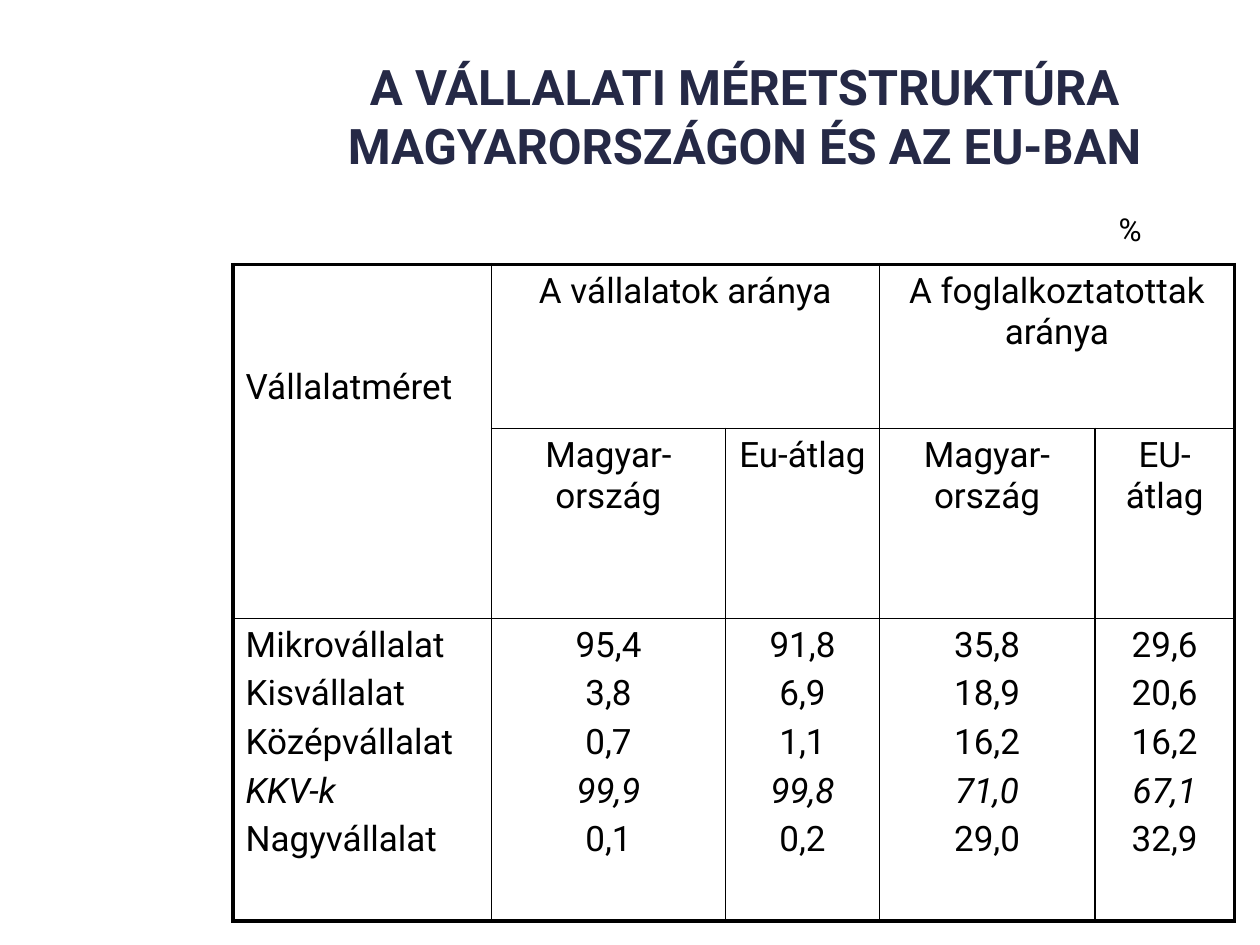
from lxml.etree import SubElement
from pptx import Presentation
from pptx.dml.color import RGBColor
from pptx.enum.text import MSO_ANCHOR, PP_ALIGN
from pptx.oxml.ns import qn
from pptx.util import Inches, Pt

TITLE = "A VÁLLALATI MÉRETSTRUKTÚRA MAGYARORSZÁGON ÉS AZ EU-BAN"
UNIT = "%"
HEADS = [
    ["Vállalatméret", "A vállalatok aránya", "", "A foglalkoztatottak aránya", ""],
    ["", "Magyar-ország", "Eu-átlag", "Magyar-ország", "EU-átlag"],
]
DATA = [
    ("Mikrovállalat", "95,4", "91,8", "35,8", "29,6"),
    ("Kisvállalat", "3,8", "6,9", "18,9", "20,6"),
    ("Középvállalat", "0,7", "1,1", "16,2", "16,2"),
    ("KKV-k", "99,9", "99,8", "71,0", "67,1"),
    ("Nagyvállalat", "0,1", "0,2", "29,0", "32,9"),
]
SUM = "KKV-k"
COLS = [2.05, 1.86, 1.22, 1.71, 1.11]
ROWS = [1.3, 1.51, 2.4]
MERGES = [((0, 0), (1, 0)), ((0, 1), (0, 2)), ((0, 3), (0, 4))]
INK, NAVY = "000000", "252946"
THIN, THICK = 1, 2.25
BODY = {"name": "Roboto", "size": Pt(20), "bold": False}
HEAD = {"name": "Roboto", "size": Pt(28), "bold": True}
NOTE = {"name": "Roboto", "size": Pt(18), "bold": False}


def tint(color, hue):
    color.rgb = RGBColor.from_string(hue)


def write(par, text, look, hue=INK, align=PP_ALIGN.LEFT, slant=False):
    par.alignment = align
    run = par.add_run()
    run.text = text
    for key, val in {**look, "italic": slant}.items():
        setattr(run.font, key, val)
    tint(run.font.color, hue)


def place(shape, left, top, width, height):
    spots = {"left": left, "top": top, "width": width, "height": height}
    for key, val in spots.items():
        setattr(shape, key, Inches(val))


def edge(cell, row, col):
    last = row + cell.span_height if cell.is_merge_origin else row + 1
    end = col + cell.span_width if cell.is_merge_origin else col + 1
    outer = {"L": col == 0, "R": end == len(COLS), "T": row == 0, "B": last == len(ROWS)}
    props = cell._tc.get_or_add_tcPr()
    for side, bold in outer.items():
        line = SubElement(props, qn("a:ln" + side), w=str(Pt(THICK if bold else THIN)))
        fill = SubElement(line, qn("a:solidFill"))
        SubElement(fill, qn("a:srgbClr"), val=INK)
    cell.fill.background()


def fill(cell, texts, col):
    frame = cell.text_frame
    for num, text in enumerate(texts):
        par = frame.add_paragraph() if num else frame.paragraphs[0]
        par.space_before = Pt(4.2 if num else 0)
        align = PP_ALIGN.CENTER if col else PP_ALIGN.LEFT
        write(par, text, BODY, align=align, slant=DATA[num][0] == SUM)


def build():
    deck = Presentation()
    deck.slide_width, deck.slide_height = Inches(10), Inches(7.5)
    slide = deck.slides.add_slide(deck.slide_layouts[5])

    title = slide.shapes.title
    place(title, 2.01, 0.29, 7.8, 1.25)
    title.text_frame.vertical_anchor = MSO_ANCHOR.MIDDLE
    write(title.text_frame.paragraphs[0], TITLE, HEAD, NAVY, PP_ALIGN.CENTER)

    spot = [Inches(val) for val in (1.85, 2.1, sum(COLS), sum(ROWS))]
    table = slide.shapes.add_table(len(ROWS), len(COLS), *spot).table
    table.first_row = table.horz_banding = False
    for col, width in zip(table.columns, COLS):
        col.width = Inches(width)
    for row, height in zip(table.rows, ROWS):
        row.height = Inches(height)
    for start, stop in MERGES:
        table.cell(*start).merge(table.cell(*stop))

    grid = [[[text] for text in row] for row in HEADS] + [list(zip(*DATA))]
    for row, line in enumerate(grid):
        for col, texts in enumerate(line):
            cell = table.cell(row, col)
            edge(cell, row, col)
            if not cell.is_spanned:
                fill(cell, texts, col)
    table.cell(0, 0).margin_top = Inches(0.81)

    unit = slide.shapes.add_textbox(*[Inches(val) for val in (8.78, 1.62, 0.55, 0.4)])
    unit.text_frame.word_wrap = True
    write(unit.text_frame.paragraphs[0], UNIT, NOTE)

    deck.save("out.pptx")


if __name__ == "__main__":
    build()
